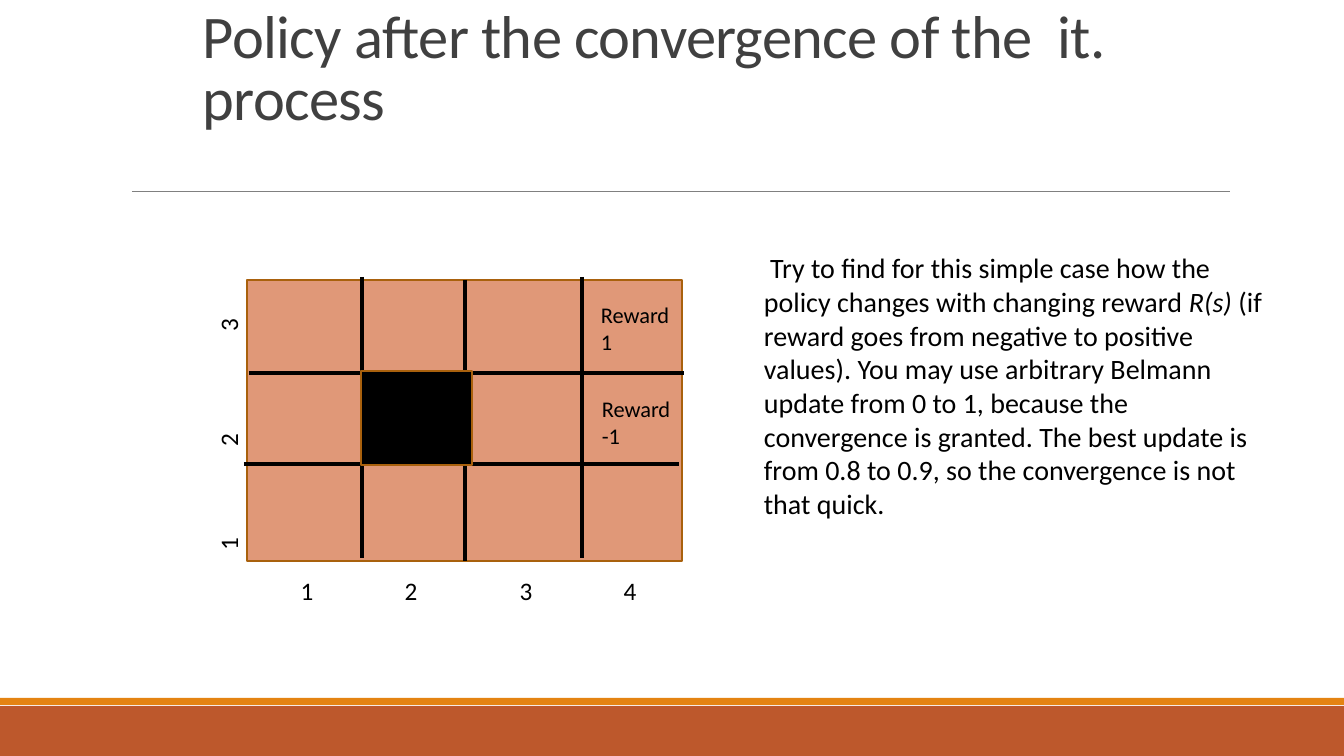
import pptx
import pptx.util
import pptx.dml.color
import pptx.enum.shapes
import pptx.enum.text
import pptx.oxml

EMU_PER_INCH = 914400
PX_PER_INCH = 100.8
WIDTH, HEIGHT = 1344, 756


def px(n):
    return pptx.util.Emu(round(n * EMU_PER_INCH / PX_PER_INCH))


def color(hex_value):
    return pptx.dml.color.RGBColor.from_string(hex_value)


class SlideBuilder:
    font = "Calibri"
    ink = "000000"
    border = "A9610D"

    def __init__(self, slide):
        self.s = slide

    def rect(self, x, y, w, h, fill, line=None):
        sp = self.s.shapes.add_shape(
            pptx.enum.shapes.MSO_SHAPE.RECTANGLE, px(x), px(y), px(w), px(h))
        sp.shadow.inherit = False
        sp.fill.solid()
        sp.fill.fore_color.rgb = color(fill)
        if line:
            sp.line.color.rgb = color(line)
            sp.line.width = pptx.util.Pt(1.25)
        else:
            sp.line.fill.background()

    def line(self, x1, y1, x2, y2, stroke=ink, width=3):
        cn = self.s.shapes.add_connector(
            pptx.enum.shapes.MSO_CONNECTOR.STRAIGHT, px(x1), px(y1), px(x2), px(y2))
        cn.line.color.rgb = color(stroke)
        cn.line.width = pptx.util.Pt(width)
        cn._element.spPr.append(pptx.oxml.parse_xml(
            '<a:effectLst xmlns:a="http://schemas.openxmlformats.org/drawingml/2006/main"/>'))

    def text(self, x, y, w, h, runs, size, fill=ink, align="LEFT",
             anchor="TOP", spacing=None, tracking=None, rotation=0):
        """Each run is a pair: its text and whether it is italic."""
        sp = self.s.shapes.add_textbox(px(x), px(y), px(w), px(h))
        sp.rotation = rotation
        tf = sp.text_frame
        tf.word_wrap = True
        tf.vertical_anchor = pptx.enum.text.MSO_ANCHOR[anchor]
        p = tf.paragraphs[0]
        p.alignment = pptx.enum.text.PP_ALIGN[align]
        if spacing:
            p.line_spacing = spacing
        for content, italic in runs:
            r = p.add_run()
            r.text = content
            r.font.name = self.font
            r.font.size = pptx.util.Pt(size)
            r.font.italic = italic
            r.font.color.rgb = color(fill)
            if tracking:
                r._r.get_or_add_rPr().set("spc", str(round(tracking * 100)))

    def axis_label(self, cx, cy, label, rotation=0):
        side = 40
        self.text(cx - side // 2, cy - side // 2, side, side, [(label, False)],
                  18, align="CENTER", rotation=rotation)


def main():
    prs = pptx.Presentation()
    prs.slide_width, prs.slide_height = px(WIDTH), px(HEIGHT)
    b = SlideBuilder(prs.slides.add_slide(prs.slide_layouts[6]))

    # Footer bands and title rule
    b.rect(0, 706, WIDTH, 50, "BD582C")
    b.rect(0, 698, WIDTH, 7, "E48312")
    b.line(132, 191, 1230, 191, "808080", 0.5)

    # Title
    b.text(193, 31, 1095, 107, [("Policy after the convergence of the  it. process", False)],
           43.2, "404040", anchor="BOTTOM", spacing=0.85, tracking=-0.5)

    # Grid world with its blocked cell
    b.rect(247, 280, 435, 281, "E09878", b.border)
    for x, top in ((465, 280), (362, 277), (582, 277)):
        b.line(x, top, x, top + 281)
    for left, y in ((249, 373), (244, 464)):
        b.line(left, y, left + 435, y)
    b.rect(361, 371, 111, 94, b.ink, b.border)

    # Rewards of the terminal cells
    for x, y, reward in ((591, 296, "Reward 1"), (592, 390, "Reward -1")):
        b.text(x, y, 100, 65, [(reward, False)], 16)

    # Column and row numbers
    for i, x in enumerate((307, 411, 526, 630), 1):
        b.axis_label(x, 590, str(i))
    for i, y in enumerate((544, 440, 325), 1):
        b.axis_label(228, y, str(i), rotation=270)

    # Task
    b.text(754, 246, 534, 281, [
        (" Try to find for this simple case how the policy changes with changing reward ", False),
        ("R(s) ", True),
        ("(if reward goes from negative to positive values). You may use arbitrary "
         "Belmann update from 0 to 1, because the convergence is granted. The best "
         "update is from 0.8 to 0.9, so the convergence is not that quick.", False),
    ], 20)

    prs.save("out.pptx")


if __name__ == "__main__":
    main()
